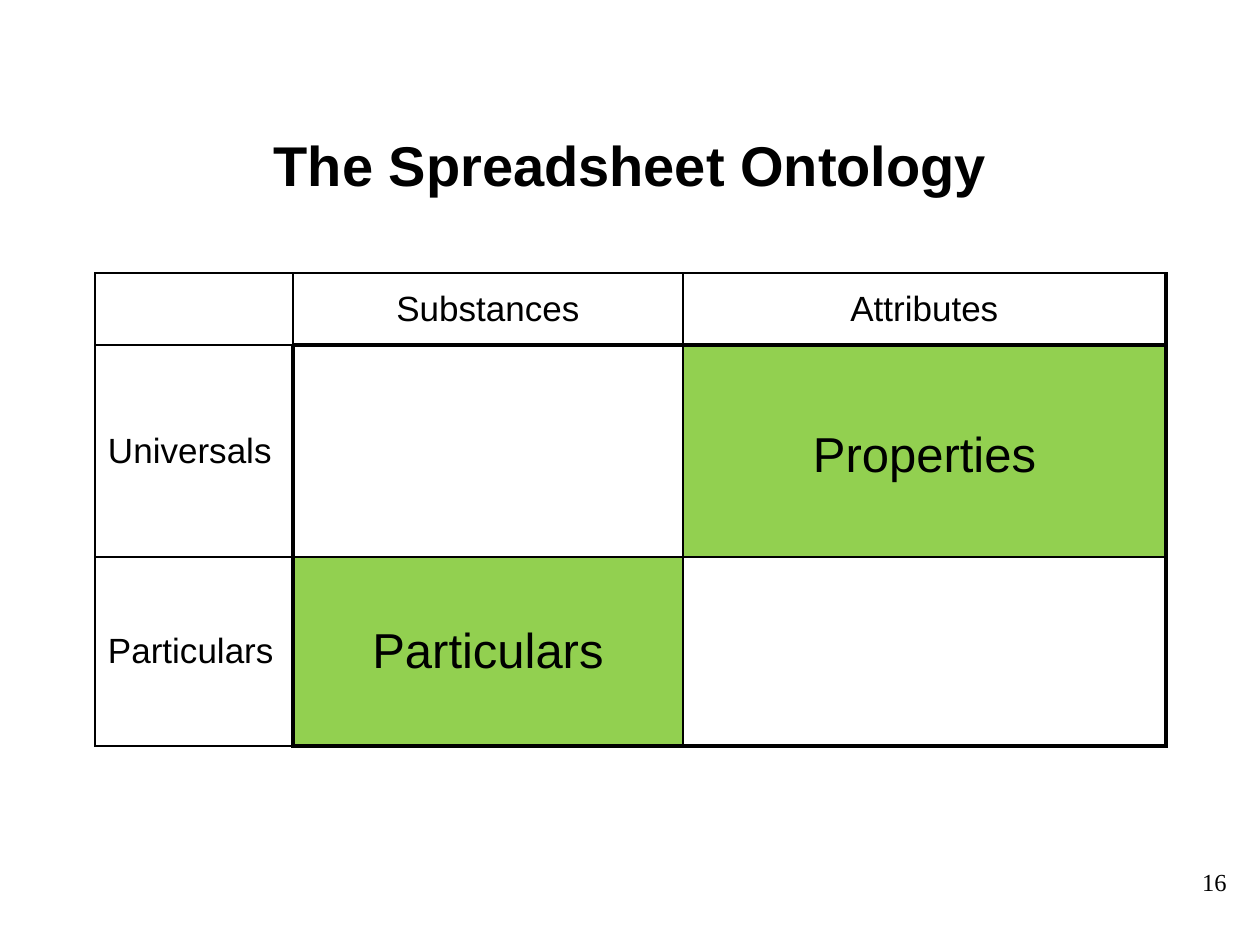
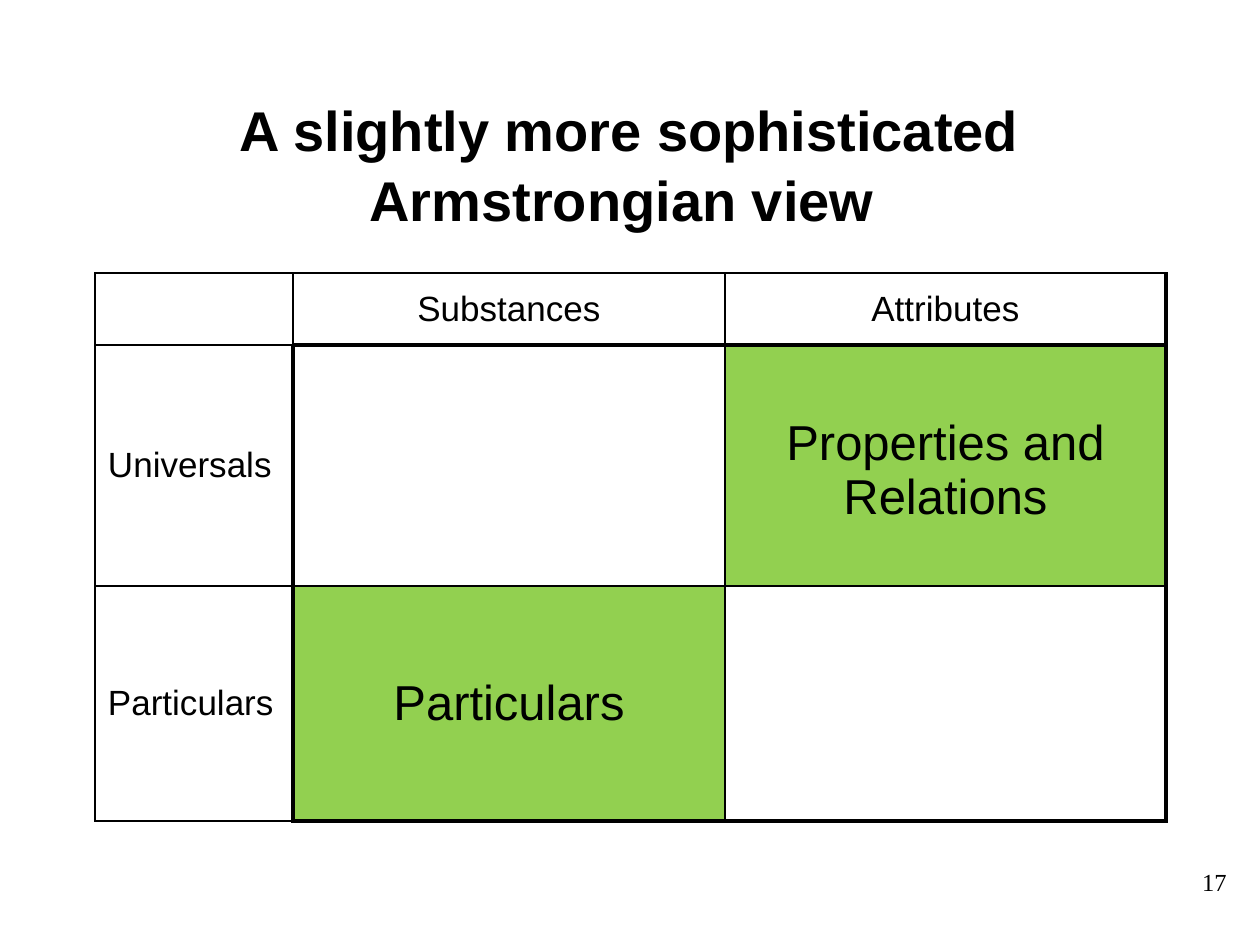
from lxml import etree
from pptx import Presentation
from pptx import util as u
from pptx.dml.color import RGBColor
from pptx.enum import text
from pptx.oxml import ns

SCALE = 914400 / 126
BLACK, GREEN = "000000", "92D050"
SANS, SERIF = "Arial", "Times New Roman"
THIN, THICK = 1, 2.25
PAD, DROP = 13, 10
LEFT, CENTER, RIGHT = (text.PP_ALIGN.LEFT, text.PP_ALIGN.CENTER,
                       text.PP_ALIGN.RIGHT)


def px(n):
    """Turn pixels into EMU."""
    return u.Emu(round(n * SCALE))


def tint(code):
    """Turn a hex string into a colour."""
    return RGBColor.from_string(code)


def write(frame, words, size, face, align, bold=False):
    """Write one formatted run into the first paragraph of a frame."""
    para = frame.paragraphs[0]
    para.alignment = align
    run = para.add_run()
    run.text = words
    font = run.font
    font.size, font.name, font.bold = u.Pt(size), face, bold
    font.color.rgb = tint(BLACK)


def head(slide, box, words):
    """Place the bold centred title."""
    title = slide.shapes.title
    title.left, title.top, title.width, title.height = map(px, box)
    frame = title.text_frame
    frame.word_wrap = True
    frame.auto_size = text.MSO_AUTO_SIZE.NONE
    frame.vertical_anchor = text.MSO_ANCHOR.MIDDLE
    write(frame, words, 32, SANS, CENTER, True)
    frame.paragraphs[0].line_spacing = 1.04


def foot(slide, box, num):
    """Place the page number."""
    frame = slide.shapes.add_textbox(*map(px, box)).text_frame
    frame.word_wrap = True
    write(frame, str(num), 14, SERIF, RIGHT)


def edge(cell, side, width):
    """Draw one border of a cell."""
    line = etree.SubElement(cell._tc.get_or_add_tcPr(), ns.qn("a:ln" + side),
                            w=str(u.Pt(width)))
    fill = etree.SubElement(line, ns.qn("a:solidFill"))
    etree.SubElement(fill, ns.qn("a:srgbClr"), val=BLACK)


def border(cell, row, col):
    """Frame a cell, with thick lines around the inner grid."""
    def upright(at):
        return THICK if at == 3 or (at == 1 and row) else THIN

    def level(at):
        return THICK if col and at in (1, 3) else THIN

    edge(cell, "L", upright(col))
    edge(cell, "R", upright(col + 1))
    edge(cell, "T", level(row))
    edge(cell, "B", level(row + 1))


def grid(slide, spot, cols, rows, kind):
    """Build the table of categories with its two green cells."""
    words = [["", "Substances", "Attributes"],
             ["Universals", "", kind],
             ["Particulars", "Particulars", ""]]
    size = (sum(cols), sum(rows))
    table = slide.shapes.add_table(3, 3, *map(px, spot + size)).table
    table.first_row = table.horz_banding = False
    for col, wide in zip(table.columns, cols):
        col.width = px(wide)
    for row, high in zip(table.rows, rows):
        row.height = px(high)
    for r, line in enumerate(words):
        for c, word in enumerate(line):
            cell = table.cell(r, c)
            inner = bool(r and c and word)
            border(cell, r, c)
            if inner:
                cell.fill.solid()
                cell.fill.fore_color.rgb = tint(GREEN)
            else:
                cell.fill.background()
            cell.vertical_anchor = text.MSO_ANCHOR.MIDDLE
            cell.margin_left = cell.margin_right = px(PAD)
            cell.margin_bottom = px(6)
            cell.margin_top = px(6 + DROP * (inner and r == 1))
            if word:
                write(cell.text_frame, word, 28 if inner else 20, SANS,
                      CENTER if c else LEFT)


def page(deck, num, name, box, cols, rows, kind):
    """Build one slide from its title, table and page number."""
    slide = deck.slides.add_slide(deck.slide_layouts[5])
    foot(slide, (977, 861, 262, 63), num)
    head(slide, box, name)
    grid(slide, (95, 273), cols, rows, kind)


def main():
    """Build and save the deck."""
    deck = Presentation()
    deck.slide_width, deck.slide_height = px(1260), px(945)
    page(deck, 16, "The Spreadsheet Ontology", (95, 84, 1071, 158),
         (198, 390, 483), (72, 212, 189), "Properties")
    page(deck, 17, "A slightly more sophisticated Armstrongian view ",
         (73, 84, 1113, 158), (198, 432, 441), (72, 241, 235),
         "Properties and Relations")
    deck.save("out.pptx")


if __name__ == "__main__":
    main()
